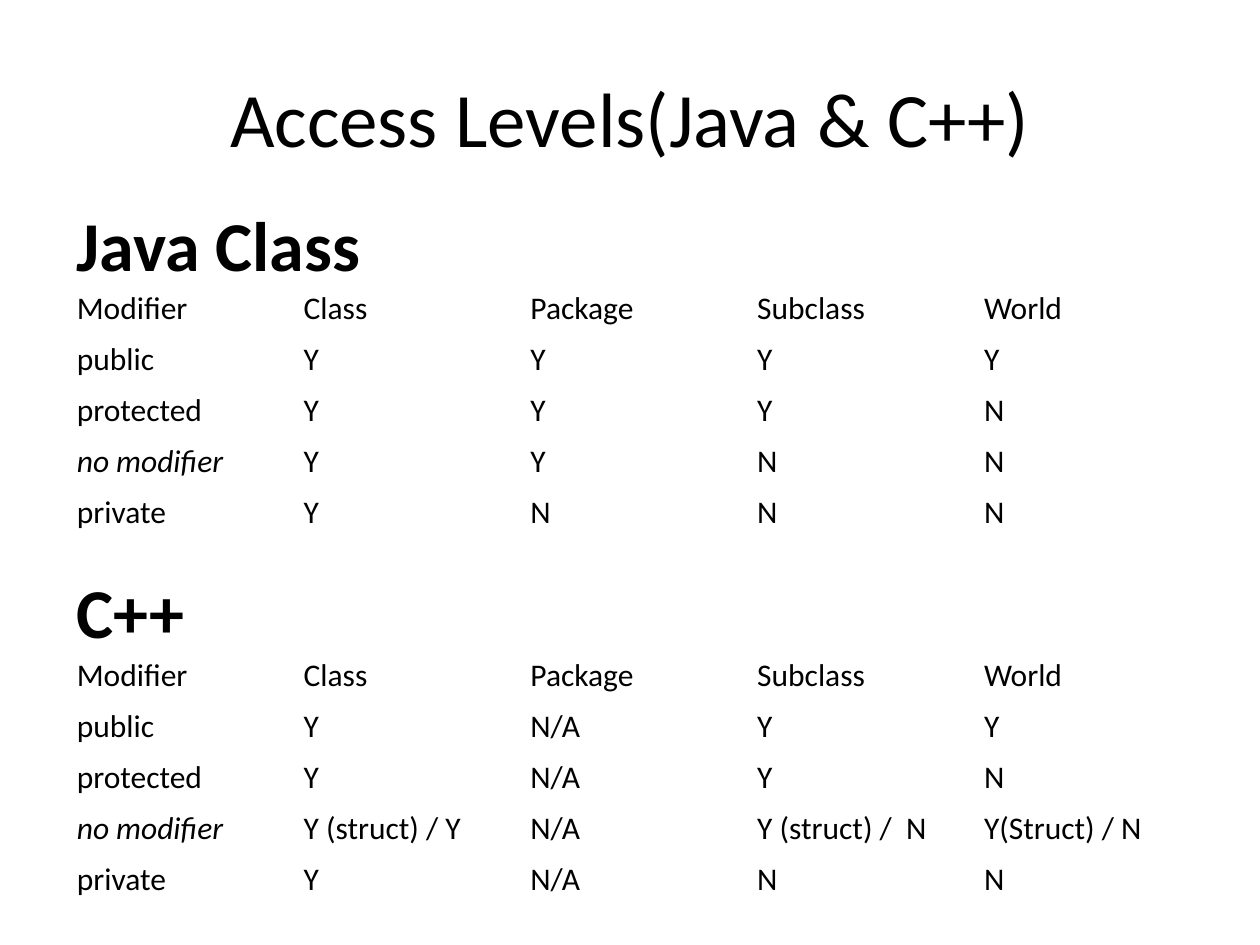
from pptx import Presentation
from pptx.dml.color import RGBColor
from pptx.enum.text import MSO_ANCHOR as Anchor, PP_ALIGN as Align
from pptx.util import Pt

BLACK = RGBColor(0x00, 0x00, 0x00)
FONT = "Calibri"
LEFT = 36.7
COLUMN_WIDTH = 129.6
ROW_HEIGHT = 29.16

HEADER = ["Modifier", "Class", "Package", "Subclass", "World"]
JAVA_ROWS = [
    HEADER,
    ["public", "Y", "Y", "Y", "Y"],
    ["protected", "Y", "Y", "Y", "N"],
    ["no modifier", "Y", "Y", "N", "N"],
    ["private", "Y", "N", "N", "N"],
]
CPP_ROWS = [
    HEADER,
    ["public", "Y", "N/A", "Y", "Y"],
    ["protected", "Y", "N/A", "Y", "N"],
    ["no modifier", "Y (struct) / Y", "N/A", "Y (struct) /  N", "Y(Struct) / N"],
    ["private", "Y", "N/A", "N", "N"],
]


def write_text(frame, text, size=18, bold=False, italic=False, align=Align.LEFT):
    """Put one formatted line into a text frame."""
    paragraph = frame.paragraphs[0]
    paragraph.alignment = align
    run = paragraph.add_run()
    run.text = text
    font = run.font
    font.name, font.size = FONT, Pt(size)
    font.bold, font.italic = bold, italic
    font.color.rgb = BLACK


def add_text(slide, box, text, anchor=Anchor.TOP, **text_format):
    """Add a wrapping text box at (left, top, width, height)."""
    frame = slide.shapes.add_textbox(*map(Pt, box)).text_frame
    frame.word_wrap = True
    frame.vertical_anchor = anchor
    write_text(frame, text, **text_format)


def add_access_table(slide, top, rows):
    """Add a plain table of access levels."""
    size = len(rows), len(HEADER)
    table = slide.shapes.add_table(
        *size, Pt(LEFT), Pt(top),
        Pt(COLUMN_WIDTH * size[1]), Pt(ROW_HEIGHT * size[0])).table
    table.first_row = table.horz_banding = False
    for row, values in zip(table.rows, rows):
        for cell, value in zip(row.cells, values):
            cell.fill.background()
            cell.vertical_anchor = Anchor.MIDDLE
            write_text(cell.text_frame, value, italic=value == "no modifier")


def add_section(slide, top, heading, rows):
    """Add a bold heading with its table below."""
    add_access_table(slide, top + 50.4, rows)
    add_text(slide, (LEFT, top, 255, 55.4), heading, size=40, bold=True)


def main():
    """Build and save the slide."""
    presentation = Presentation()
    presentation.slide_width, presentation.slide_height = Pt(720), Pt(540)
    slide = presentation.slides.add_slide(presentation.slide_layouts[6])
    add_text(slide, (36, 21.6, 648, 90), "Access Levels(Java & C++)",
             anchor=Anchor.MIDDLE, size=44, align=Align.CENTER)
    add_section(slide, 111.6, "Java Class", JAVA_ROWS)
    add_section(slide, 321.4, "C++", CPP_ROWS)
    presentation.save("out.pptx")


main()
